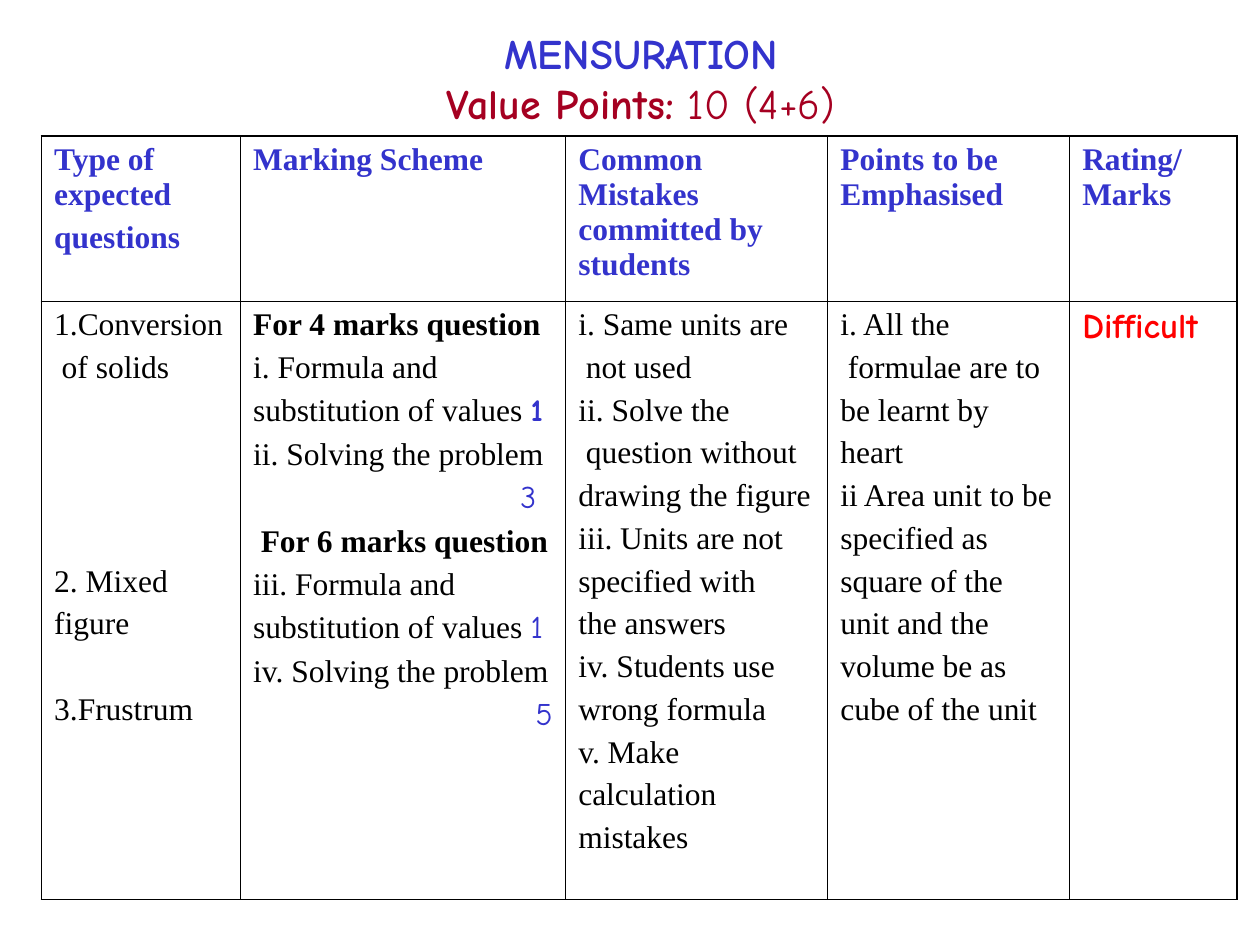
from dataclasses import dataclass
from typing import Any

from lxml import etree
from pptx import Presentation
from pptx.dml.color import RGBColor
from pptx.enum import text
from pptx.oxml import ns
from pptx.util import Inches, Pt

BLUE = RGBColor(0x33, 0x33, 0xCC)
CRIMSON = RGBColor(0xA5, 0x00, 0x21)
RED = RGBColor(0xFF, 0x00, 0x00)
BLACK = RGBColor(0x00, 0x00, 0x00)
WHITE = RGBColor(0xFF, 0xFF, 0xFF)
SERIF, COMIC = "Times New Roman", "Comic Neue"

BODY = dict(name=SERIF, size=Pt(18), bold=False)
BOLD = BODY | dict(bold=True)
HEAD = BOLD
MARK = dict(name=COMIC, size=Pt(18), bold=False)
TITLE = dict(name=COMIC, size=Pt(24), bold=True)

SPACE = 4.5  # points before a paragraph
LINE = 24.43  # points from one body line to the next
NUDGE = 0.06  # indent of a slightly inset line, in inches
THIN, THICK = 0.45, 1.08


@dataclass(frozen=True)
class Run:
    text: str
    font: dict[str, Any]
    color: RGBColor = BLACK


@dataclass(frozen=True)
class Para:
    runs: tuple[Run, ...]
    indent: float = 0
    skipped: int = 0  # empty lines left above


def body(line: str, indent: float = 0, skipped: int = 0) -> Para:
    return Para((Run(line, BODY),), indent, skipped)


def bold(line: str, indent: float = 0) -> Para:
    return Para((Run(line, BOLD),), indent)


def mark(value: str, indent: float) -> Para:
    return Para((Run(value, MARK, BLUE),), indent)


def heading(*lines: str) -> list[Para]:
    return [Para((Run(line, HEAD, BLUE),)) for line in lines]


def substitution(font: dict[str, Any]) -> Para:
    return Para((Run("substitution of values ", BODY), Run("1", font, BLUE)))


COLUMN_WIDTHS = (1.58, 2.58, 2.08, 1.92, 1.33)
ROW_HEIGHTS = (1.31, 4.75)

HEADINGS = [
    heading("Type of expected", "questions"),
    heading("Marking Scheme"),
    heading("Common Mistakes committed by students"),
    heading("Points to be Emphasised"),
    heading("Rating/ Marks"),
]
QUESTIONS = [
    body("1.Conversion"),
    body("of solids", NUDGE),
    body("2. Mixed", skipped=4),
    body("figure"),
    body("3.Frustrum", skipped=1),
]
SCHEME = [
    bold("For 4 marks question"),
    body("i. Formula and"),
    substitution(MARK | dict(bold=True)),
    body("ii. Solving the problem"),
    mark("3", 2.12),
    bold("For 6 marks question", NUDGE),
    body("iii. Formula and"),
    substitution(MARK),
    body("iv. Solving the problem"),
    mark("5", 2.24),
]
MISTAKES = [
    body("i. Same units are"),
    body("not used", NUDGE),
    body("ii. Solve the"),
    body("question without", NUDGE),
    *map(body, (
        "drawing the figure", "iii. Units are not", "specified with", "the answers",
        "iv. Students use", "wrong formula", "v. Make", "calculation", "mistakes",
    )),
]
POINTS = [
    body("i. All the"),
    body("formulae are to", NUDGE),
    *map(body, (
        "be learnt by", "heart", "ii Area unit to be", "specified as",
        "square of the", "unit and the", "volume be as", "cube of the unit",
    )),
]
RATING = [Para((Run("Difficult", TITLE | dict(size=Pt(20)), RED),))]
ROWS = [HEADINGS, [QUESTIONS, SCHEME, MISTAKES, POINTS, RATING]]

TITLE_LINES = [
    Para((Run("MENSURATION", TITLE, BLUE),)),
    Para((
        Run("Value Points:", TITLE, CRIMSON),
        Run(" 10 (4+6)", TITLE | dict(bold=False), CRIMSON),
    )),
]


def write(tf, paras: list[Para], space: float, align=text.PP_ALIGN.LEFT) -> None:
    for i, para in enumerate(paras):
        p = tf.add_paragraph() if i else tf.paragraphs[0]
        p.alignment = align
        p.space_before = Pt(space + para.skipped * LINE if i else 0)
        if para.indent:
            p._p.get_or_add_pPr().set("marL", str(Inches(para.indent)))
        for run in para.runs:
            r = p.add_run()
            r.text = run.text
            for key, value in run.font.items():
                setattr(r.font, key, value)
            r.font.color.rgb = run.color


def set_borders(cell, widths: dict[str, float]) -> None:
    """Draw black cell borders; widths are in points, keyed by side."""
    tc_pr = cell._tc.get_or_add_tcPr()
    for i, (side, width) in enumerate(widths.items()):
        ln = etree.Element(ns.qn(f"a:ln{side}"), w=str(Pt(width)))
        fill = etree.SubElement(ln, ns.qn("a:solidFill"))
        etree.SubElement(fill, ns.qn("a:srgbClr"), val=str(BLACK))
        tc_pr.insert(i, ln)


def add_scheme_table(s) -> None:
    n_rows, n_cols = len(ROW_HEIGHTS), len(COLUMN_WIDTHS)
    frame = s.shapes.add_table(
        n_rows, n_cols, Inches(0.33), Inches(1.08),
        Inches(sum(COLUMN_WIDTHS)), Inches(sum(ROW_HEIGHTS)),
    )
    table = frame.table
    for column, width in zip(table.columns, COLUMN_WIDTHS):
        column.width = Inches(width)
    for row, height in zip(table.rows, ROW_HEIGHTS):
        row.height = Inches(height)
    for y, row in enumerate(ROWS):
        for x, paras in enumerate(row):
            cell = table.cell(y, x)
            cell.fill.solid()
            cell.fill.fore_color.rgb = WHITE
            outer = dict(L=x == 0, R=x == n_cols - 1, T=y == 0, B=y == n_rows - 1)
            set_borders(cell, {k: THICK if edge else THIN for k, edge in outer.items()})
            write(cell.text_frame, paras, SPACE)


def add_title(s) -> None:
    box = s.shapes.add_textbox(Inches(1.5), Inches(0.17), Inches(7.17), Inches(0.9))
    box.text_frame.word_wrap = True
    write(box.text_frame, TITLE_LINES, 0, text.PP_ALIGN.CENTER)


def main() -> None:
    prs = Presentation()
    prs.slide_width, prs.slide_height = Inches(10), Inches(7.5)
    s = prs.slides.add_slide(prs.slide_layouts[6])
    add_scheme_table(s)
    add_title(s)
    prs.save("out.pptx")


if __name__ == "__main__":
    main()
